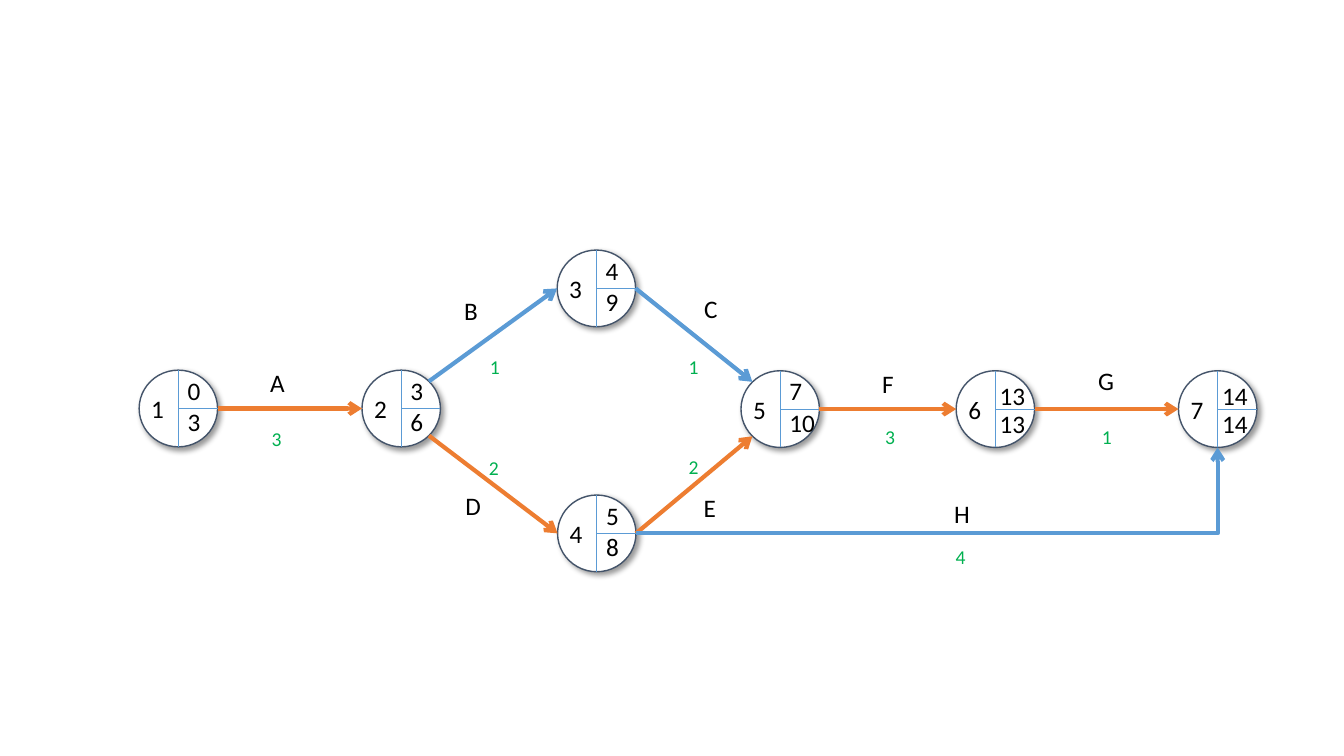
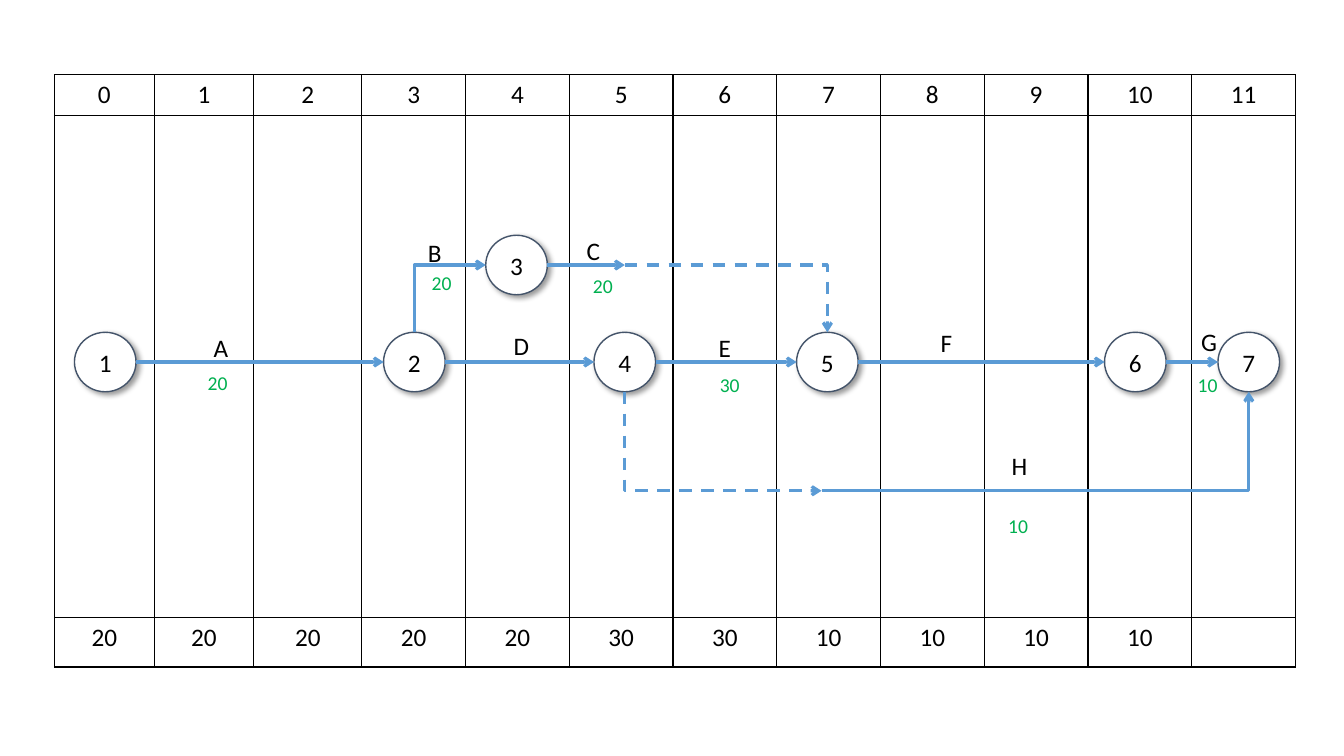
"""Build two activity-on-arrow network slides."""
from lxml import etree
from pptx import Presentation
from pptx.dml.color import RGBColor
from pptx.enum.dml import MSO_LINE
from pptx.enum.shapes import MSO_CONNECTOR, MSO_SHAPE
from pptx.enum.text import MSO_ANCHOR, PP_ALIGN
from pptx.oxml.ns import qn
from pptx.util import Pt

STRAIGHT = MSO_CONNECTOR.STRAIGHT
OVAL = MSO_SHAPE.OVAL
DASH = MSO_LINE.DASH
CENTER = PP_ALIGN.CENTER
MIDDLE = MSO_ANCHOR.MIDDLE
TOP = MSO_ANCHOR.TOP

FONT = "Calibri"
BLACK, WHITE, GREEN = "000000", "FFFFFF", "00B050"
BLUE, ORANGE, SLATE = "5B9BD5", "ED7D31", "44546A"
DIAGONAL = 0.71
SIDES = {
    "N": (0, -1), "S": (0, 1), "E": (1, 0), "W": (-1, 0),
    "NE": (DIAGONAL, -DIAGONAL), "SE": (DIAGONAL, DIAGONAL),
    "NW": (-DIAGONAL, -DIAGONAL), "SW": (-DIAGONAL, DIAGONAL),
}

NETWORK_SIZE = (56, 54.8)
NETWORK_NODES = {
    "1": (127.4, 291.8, "0", "3"),
    "2": (286.6, 291.8, "3", "6"),
    "3": (426, 206, "4", "9"),
    "4": (426.3, 381, "5", "8"),
    "5": (557.3, 292.2, "7", "10"),
    "6": (711, 292.2, "13", "13"),
    "7": (869.8, 292.2, "14", "14"),
}
NETWORK_ARROWS = [
    ("1", "E", "2", "W", ORANGE), ("2", "NE", "3", "W", BLUE),
    ("2", "SE", "4", "W", ORANGE), ("4", "E", "5", "SW", ORANGE),
    ("3", "E", "5", "NW", BLUE), ("5", "E", "6", "W", ORANGE),
    ("6", "E", "7", "W", ORANGE),
]
NETWORK_LABELS = [
    ("A", 197.5, 273), ("B", 336.2, 221.8), ("C", 507.6, 220.3), ("D", 337, 360.7),
    ("E", 507, 362.2), ("F", 634.3, 273.6), ("G", 789, 272), ("H", 686.2, 366.5),
]
NETWORK_DURATIONS = [
    ("3", 197.5, 313.2), ("1", 353.5, 262), ("1", 495.4, 262), ("2", 352.8, 334),
    ("2", 495.4, 333.4), ("3", 635.8, 311.8), ("1", 790.6, 311.8), ("4", 686.2, 397.4),
]

SCHEDULE_SIZE = (44, 42.5)
SCHEDULE_NODES = {
    "1": (75.2, 258.6), "2": (296, 258.6), "3": (369, 189.3), "4": (446.3, 258.6),
    "5": (591, 258.6), "6": (811, 258.6), "7": (892, 258.6),
}
SCHEDULE_LABELS = [
    ("A", 157.3, 248.4), ("B", 310.3, 180), ("C", 423.7, 178.6), ("D", 371.5, 247),
    ("E", 517.7, 248.4), ("F", 676, 244.8), ("G", 862.6, 244), ("H", 727.2, 332.6),
]
SCHEDULE_DURATIONS = [
    ("20", 155.5, 273), ("20", 315.4, 201.6), ("20", 430.6, 203.8),
    ("30", 521.3, 275), ("10", 862.6, 275), ("10", 727.2, 375.8),
]
DAILY_TOTALS = ["20"] * 5 + ["30"] * 2 + ["10"] * 4 + [""]


def color(value):
    """Return a colour from its hex string."""
    return RGBColor.from_string(value)


def write(frame, text, size=18, ink=BLACK, align=CENTER, anchor=MIDDLE, wrap=False):
    """Put formatted text into a text frame."""
    frame.word_wrap = wrap
    frame.vertical_anchor = anchor
    para = frame.paragraphs[0]
    para.alignment = align
    span = para.add_run()
    span.text = text
    span.font.name = FONT
    span.font.size = Pt(size)
    span.font.bold = False
    span.font.color.rgb = color(ink)


def add_label(page, text, x, y, size=18, ink=BLACK):
    """Place a short text centred on a point."""
    width = 14.4 + len(text) * size / 2
    height = 7.2 + size * 1.22
    box = page.shapes.add_textbox(Pt(x - width / 2), Pt(y - height / 2), Pt(width), Pt(height))
    write(box.text_frame, text, size=size, ink=ink)


def add_labels(page, activities, durations):
    """Place the activity letters and the green durations."""
    for text, x, y in activities:
        add_label(page, text, x, y)
    for text, x, y in durations:
        add_label(page, text, x, y, size=14, ink=GREEN)


def add_line(page, points, ink=BLUE, weight=0.5, arrow=True, dashed=False):
    """Draw a straight connector, or an open bent outline through more points."""
    places = [(Pt(x), Pt(y)) for x, y in points]
    if len(places) == 2:
        line = page.shapes.add_connector(STRAIGHT, *places[0], *places[1])
        etree.SubElement(line._element.spPr, qn("a:effectLst"))
    else:
        builder = page.shapes.build_freeform(*places[0])
        builder.add_line_segments(places[1:], close=False)
        line = builder.convert_to_shape()
        line.fill.background()
        line.shadow.inherit = False
    line.line.color.rgb = color(ink)
    line.line.width = Pt(weight)
    if dashed:
        line.line.dash_style = DASH
    if arrow:
        outline = line._element.spPr.find(qn("a:ln"))
        etree.SubElement(outline, qn("a:tailEnd"), type="arrow")


def add_circle(page, x, y, size):
    """Draw a white shadowed circle centred on a point."""
    width, height = size
    circle = page.shapes.add_shape(
        OVAL, Pt(x - width / 2), Pt(y - height / 2), Pt(width), Pt(height))
    circle.fill.solid()
    circle.fill.fore_color.rgb = color(WHITE)
    circle.line.color.rgb = color(SLATE)
    circle.line.width = Pt(1)
    circle.shadow.inherit = False
    effects = circle._element.spPr.find(qn("a:effectLst"))
    shadow = etree.SubElement(
        effects, qn("a:outerShdw"), blurRad=str(Pt(4)), dist=str(Pt(3)),
        dir="2700000", algn="tl", rotWithShape="0")
    shade = etree.SubElement(shadow, qn("a:srgbClr"), val=BLACK)
    etree.SubElement(shade, qn("a:alpha"), val="40000")
    return circle


def side_point(node, size, side):
    """Return the point on a node's edge at a compass side."""
    across, down = SIDES[side]
    return node[0] + across * size[0] / 2, node[1] + down * size[1] / 2


def add_event(page, number, x, y, early, late):
    """Draw a divided event circle with its number and two times."""
    width, height = NETWORK_SIZE
    add_circle(page, x, y, NETWORK_SIZE)
    add_line(page, [(x, y - height / 2), (x, y + height / 2)], arrow=False)
    add_line(page, [(x, y), (x + width / 2, y)], arrow=False)
    add_label(page, number, x - 14.8, y)
    wide = len(early) == 2
    left = -4 if wide else -0.5
    offsets = (-10, 10) if wide else (-13, 9.4)
    for text, offset in zip((early, late), offsets):
        add_label(page, text, x + left + 7.2 + len(text) * 4.5, y + offset)


def add_schedule_table(page, left, top):
    """Draw the day grid with the daily totals below."""
    widths = [71.2, 71.2, 77.2] + [74.1] * 9
    heights = [29.2, 358.6, 35.3]
    rows = [[str(day) for day in range(12)], [""] * 12, DAILY_TOTALS]
    holder = page.shapes.add_table(
        3, 12, Pt(left), Pt(top), Pt(sum(widths)), Pt(sum(heights)))
    table = holder.table
    table.first_row = False
    table.horz_banding = False
    for column, width in zip(table.columns, widths):
        column.width = Pt(width)
    for row, height, texts in zip(table.rows, heights, rows):
        row.height = Pt(height)
        for cell, text in zip(row.cells, texts):
            format_cell(cell)
            if text:
                write(cell.text_frame, text, anchor=TOP, wrap=True)


def format_cell(cell):
    """Give a cell thin black borders and no fill."""
    properties = cell._tc.get_or_add_tcPr()
    for edge in ("a:lnL", "a:lnR", "a:lnT", "a:lnB"):
        border = etree.SubElement(properties, qn(edge), w=str(Pt(1)))
        fill = etree.SubElement(border, qn("a:solidFill"))
        etree.SubElement(fill, qn("a:srgbClr"), val=BLACK)
    cell.fill.background()


def build_network(page):
    """Build the network with early and late event times."""
    for number, node in NETWORK_NODES.items():
        add_event(page, number, *node)

    def point(number, side):
        """Return an edge point of a network event."""
        return side_point(NETWORK_NODES[number], NETWORK_SIZE, side)

    for start, leave, end, arrive, ink in NETWORK_ARROWS:
        add_line(page, [point(start, leave), point(end, arrive)], ink=ink, weight=3)
    start, end = point("4", "E"), point("7", "S")
    add_line(page, [start, (end[0], start[1]), end], weight=3)
    add_labels(page, NETWORK_LABELS, NETWORK_DURATIONS)


def build_schedule(page):
    """Build the network laid over the day grid."""
    add_schedule_table(page, 38.9, 53.3)
    for number, (x, y) in SCHEDULE_NODES.items():
        write(add_circle(page, x, y, SCHEDULE_SIZE).text_frame, number)

    def point(number, side):
        """Return an edge point of a schedule event."""
        return side_point(SCHEDULE_NODES[number], SCHEDULE_SIZE, side)

    upper = SCHEDULE_NODES["3"][1]
    lower = 350.6
    finish_c = (SCHEDULE_NODES["4"][0], upper)
    start_h = (586.8, lower)
    solid = [[point(a, "E"), point(b, "W")] for a, b in ("12", "24", "45", "56", "67")]
    solid += [
        [point("2", "N"), (SCHEDULE_NODES["2"][0], upper), point("3", "W")],
        [point("3", "E"), finish_c],
        [start_h, (SCHEDULE_NODES["7"][0], lower), point("7", "S")],
    ]
    slack = [
        [finish_c, (SCHEDULE_NODES["5"][0], upper), point("5", "N")],
        [point("4", "S"), (SCHEDULE_NODES["4"][0], lower), start_h],
    ]
    for points in solid:
        add_line(page, points, weight=2.25)
    for points in slack:
        add_line(page, points, weight=2.25, dashed=True)
    add_labels(page, SCHEDULE_LABELS, SCHEDULE_DURATIONS)


def main():
    """Build and save the deck."""
    deck = Presentation()
    deck.slide_width, deck.slide_height = Pt(960), Pt(540)
    for build in (build_network, build_schedule):
        build(deck.slides.add_slide(deck.slide_layouts[6]))
    deck.save("out.pptx")


main()
